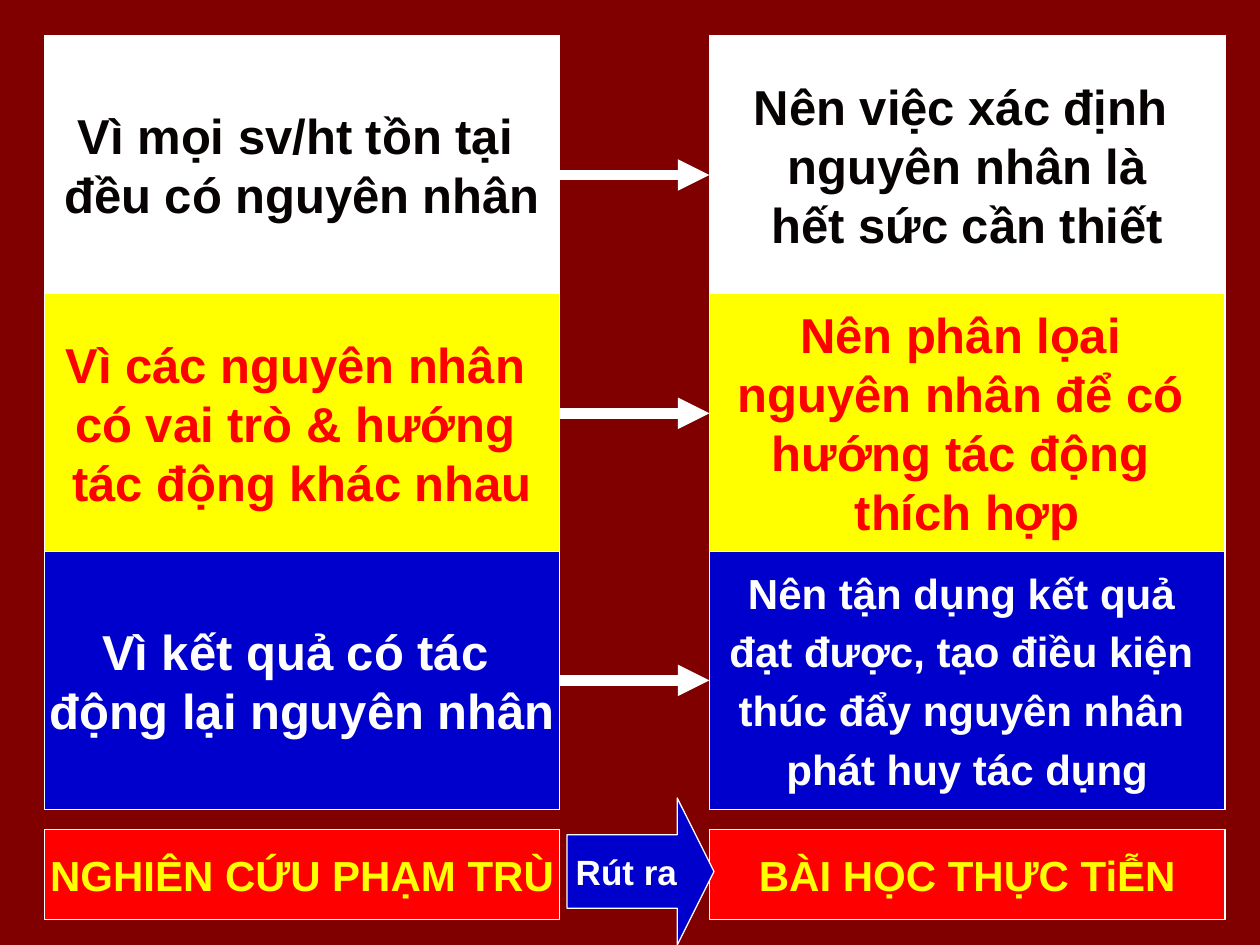
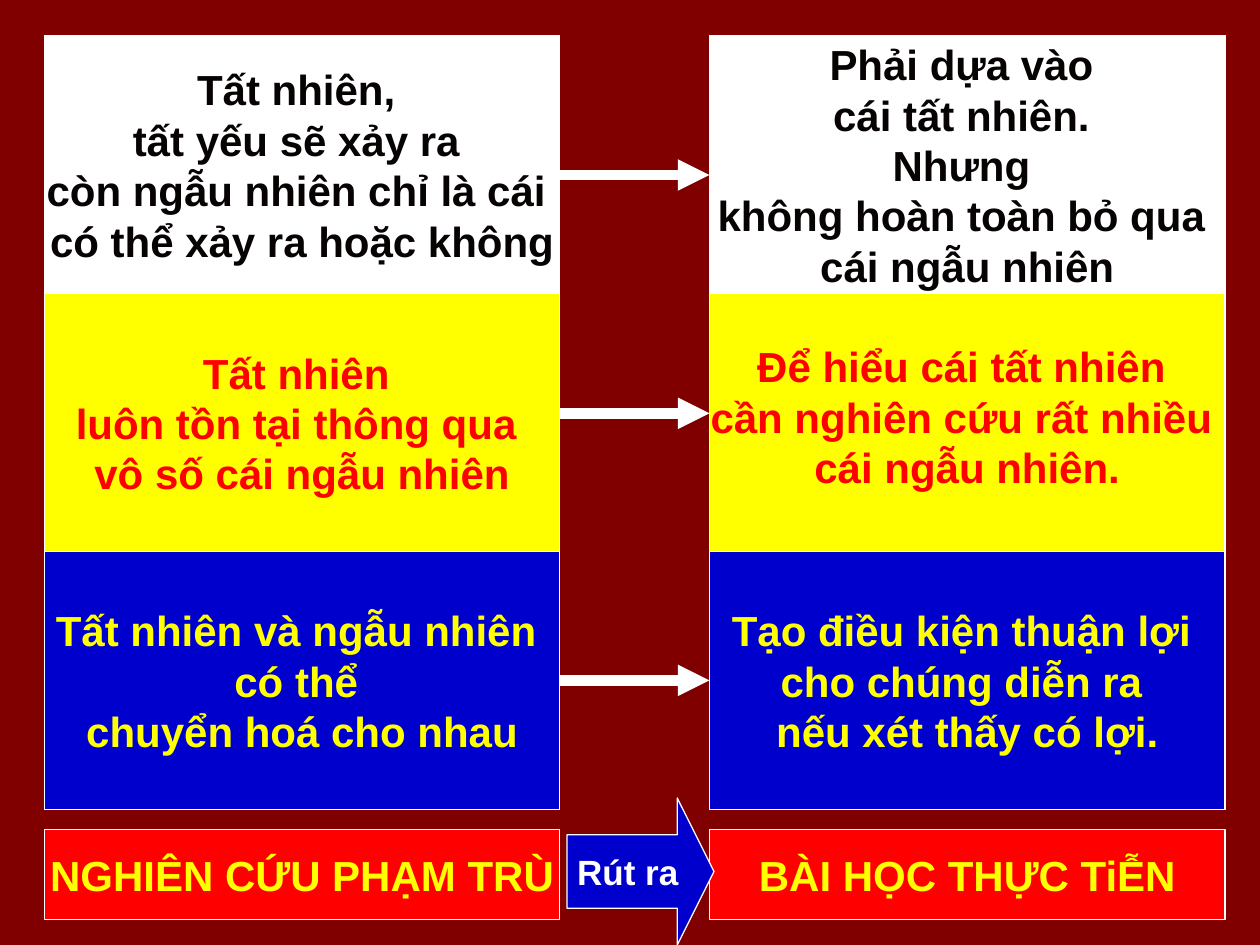
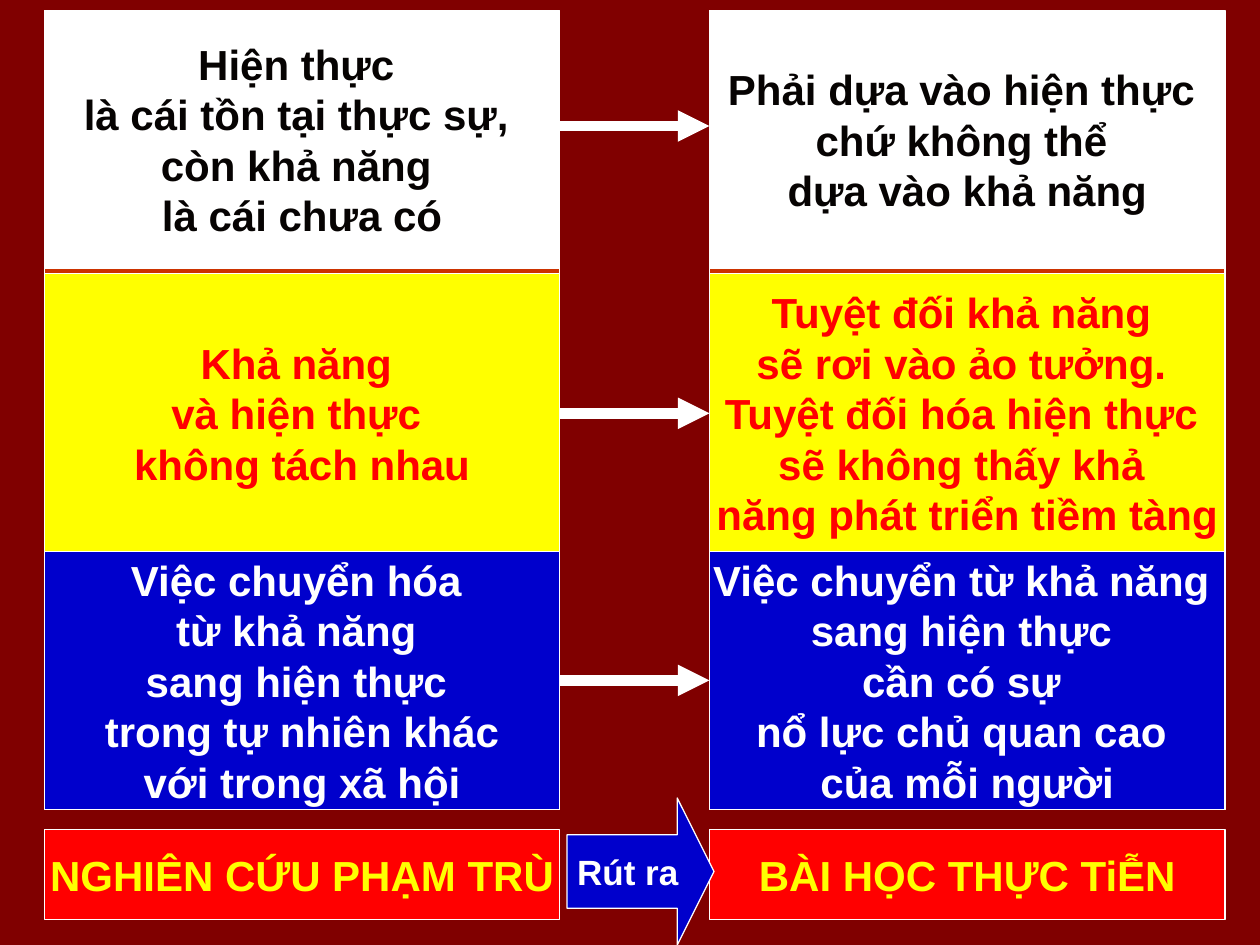
from dataclasses import dataclass
from typing import NamedTuple

from lxml import etree
from pptx import Presentation
from pptx.dml.color import RGBColor
from pptx.enum import shapes, text
from pptx.oxml import ns
from pptx.util import Pt

MAROON = RGBColor(0x80, 0x00, 0x00)
RUST = RGBColor(0xCC, 0x33, 0x00)
RED = RGBColor(0xFF, 0x00, 0x00)
YELLOW = RGBColor(0xFF, 0xFF, 0x00)
BLUE = RGBColor(0x00, 0x00, 0xCC)
WHITE = RGBColor(0xFF, 0xFF, 0xFF)
INK = RGBColor(0x06, 0x03, 0x02)

COLUMNS = (25.3, 405.4)
COLUMN_W = 294.6
PANEL_TOP, PANEL_H = 20.4, 442.2
ROW_H = PANEL_H / 3
ROW_FILLS = (WHITE, YELLOW, BLUE)
FOOTER_TOP, FOOTER_H = 474.2, 51.2
FOOTERS = ("NGHIÊN CỨU PHẠM TRÙ", "BÀI HỌC THỰC TiỄN")


class Box(NamedTuple):
    x: float
    y: float
    w: float
    h: float


class Row(NamedTuple):
    top: float
    height: float
    arrow_y: float


@dataclass
class Label:
    lines: tuple[str, ...]
    color: RGBColor
    size: float = 24
    gap: float = 0
    lift: float = 0


@dataclass
class Lesson:
    pairs: tuple[tuple[Label, Label], ...]
    rows: tuple[Row, ...]
    space_font: dict


ROWS = tuple(
    Row(PANEL_TOP + i * ROW_H, ROW_H, y) for i, y in enumerate((100, 236.2, 388.8))
)
RAISED_ROWS = (Row(5.9, ROW_H, 72), Row(156.2, 159.6, 236.2), ROWS[2])
BOLD_SPACE = {"size": Pt(20), "name": "Arial", "bold": True}
PLAIN_SPACE = {"size": Pt(18), "name": "Cabin", "bold": False}

LESSONS = (
    Lesson(
        (
            (
                Label(("Vì mọi sv/ht tồn tại ", "đều có nguyên nhân"), INK, 28),
                Label(("Nên việc xác định ", "nguyên nhân là", "hết sức cần thiết"), INK, 28),
            ),
            (
                Label(("Vì các nguyên nhân ", "có vai trò & hướng ", "tác động khác nhau"), RED, 28),
                Label(("Nên phân lọai ", "nguyên nhân để có ", "hướng tác động ", "thích hợp"), RED, 28),
            ),
            (
                Label(("Vì kết quả có tác ", "động lại nguyên nhân"), WHITE, 28),
                Label(
                    ("Nên tận dụng kết quả ", "đạt được, tạo điều kiện ",
                     "thúc đẩy nguyên nhân ", "phát huy tác dụng"),
                    WHITE, gap=4.8,
                ),
            ),
        ),
        ROWS,
        BOLD_SPACE,
    ),
    Lesson(
        (
            (
                Label(
                    ("Tất nhiên, ", "tất yếu sẽ xảy ra ", "còn ngẫu nhiên chỉ là cái ",
                     "có thể xảy ra hoặc không"),
                    INK,
                ),
                Label(
                    ("Phải dựa vào ", "cái tất nhiên. ", "Nhưng ",
                     "không hoàn toàn bỏ qua ", "cái ngẫu nhiên"),
                    INK,
                ),
            ),
            (
                Label(("Tất nhiên ", "luôn tồn tại thông qua ", "vô số cái ngẫu nhiên"), RED),
                Label(
                    ("Để hiểu cái tất nhiên ", "cần nghiên cứu rất nhiều ", "cái ngẫu nhiên."),
                    RED, lift=3.5,
                ),
            ),
            (
                Label(("Tất nhiên và ngẫu nhiên ", "có thể ", "chuyển hoá cho nhau"), YELLOW),
                Label(
                    ("Tạo điều kiện thuận lợi ", "cho chúng diễn ra ", "nếu xét thấy có lợi."),
                    YELLOW,
                ),
            ),
        ),
        ROWS,
        PLAIN_SPACE,
    ),
    Lesson(
        (
            (
                Label(
                    ("Hiện thực ", "là cái tồn tại thực sự, ", "còn khả năng ", "là cái chưa có"),
                    INK,
                ),
                Label(("Phải dựa vào hiện thực ", "chứ không thể ", "dựa vào khả năng"), INK),
            ),
            (
                Label(("Khả năng ", "và hiện thực ", "không tách nhau"), RED),
                Label(
                    ("Tuyệt đối khả năng ", "sẽ rơi vào ảo tưởng. ", "Tuyệt đối hóa hiện thực ",
                     "sẽ không thấy khả ", "năng phát triển tiềm tàng"),
                    RED,
                ),
            ),
            (
                Label(
                    ("Việc chuyển hóa ", "từ khả năng ", "sang hiện thực ",
                     "trong tự nhiên khác", "với trong xã hội"),
                    WHITE,
                ),
                Label(
                    ("Việc chuyển từ khả năng ", "sang hiện thực ", "cần có sự ",
                     "nổ lực chủ quan cao ", "của mỗi người"),
                    WHITE,
                ),
            ),
        ),
        RAISED_ROWS,
        PLAIN_SPACE,
    ),
)


def apply(target, formats: dict) -> None:
    for name, value in formats.items():
        setattr(target, name, value)


def add_run(p, words: str, color: RGBColor, formats: dict) -> None:
    r = p.add_run()
    r.text = words
    apply(r.font, formats)
    r.font.color.rgb = color


def add_block(s, box: Box, fill: RGBColor, kind=shapes.MSO_SHAPE.RECTANGLE):
    sp = s.shapes.add_shape(kind, *map(Pt, box))
    sp.shadow.inherit = False
    sp.fill.solid()
    sp.fill.fore_color.rgb = fill
    sp.line.color.rgb = WHITE
    sp.line.width = Pt(0.75)
    return sp


def write_label(sp, label: Label) -> None:
    tf = sp.text_frame
    apply(tf, {
        "word_wrap": False,
        "vertical_anchor": text.MSO_ANCHOR.MIDDLE,
        "margin_bottom": Pt(3.6 + 2 * label.lift),
    })
    for i, line in enumerate(label.lines):
        p = tf.add_paragraph() if i else tf.paragraphs[0]
        apply(p, {
            "alignment": text.PP_ALIGN.CENTER,
            "space_before": Pt(label.gap if i else 0),
        })
        add_run(p, line, label.color, {"size": Pt(label.size), "name": "Arial", "bold": True})


def add_arrow(s, y: float) -> None:
    start, end = COLUMNS[0] + COLUMN_W, COLUMNS[1]
    cx = s.shapes.add_connector(
        shapes.MSO_CONNECTOR.STRAIGHT, Pt(start), Pt(y), Pt(end), Pt(y)
    )
    cx.line.color.rgb = WHITE
    cx.line.width = Pt(6)
    etree.SubElement(cx.line._get_or_add_ln(), ns.qn("a:tailEnd"), type="triangle")
    etree.SubElement(cx._element.spPr, ns.qn("a:effectLst"))


def add_conclusion_arrow(s, space_font: dict) -> None:
    sp = add_block(s, Box(324, 456, 84, 84), BLUE, shapes.MSO_SHAPE.RIGHT_ARROW)
    sp.adjustments[0], sp.adjustments[1] = 0.5, 0.25
    write_label(sp, Label(("Rút ra",), WHITE, 20))
    add_run(sp.text_frame.paragraphs[0], " ", WHITE, space_font)


def add_lesson(prs, lesson: Lesson) -> None:
    s = prs.slides.add_slide(prs.slide_layouts.get_by_name("Blank"))
    for x in COLUMNS:
        add_block(s, Box(x, PANEL_TOP, COLUMN_W, PANEL_H), RUST)
    for x, words in zip(COLUMNS, FOOTERS):
        sp = add_block(s, Box(x, FOOTER_TOP, COLUMN_W, FOOTER_H), RED)
        write_label(sp, Label((words,), YELLOW))
    for row, fill, pair in zip(lesson.rows, ROW_FILLS, lesson.pairs):
        for x, label in zip(COLUMNS, pair):
            write_label(add_block(s, Box(x, row.top, COLUMN_W, row.height), fill), label)
    for row in reversed(lesson.rows):
        add_arrow(s, row.arrow_y)
    add_conclusion_arrow(s, lesson.space_font)


def main() -> None:
    prs = Presentation()
    apply(prs, {"slide_width": Pt(720), "slide_height": Pt(540)})
    background = prs.slide_master.background.fill
    background.solid()
    background.fore_color.rgb = MAROON
    for lesson in LESSONS:
        add_lesson(prs, lesson)
    prs.save("out.pptx")


if __name__ == "__main__":
    main()
